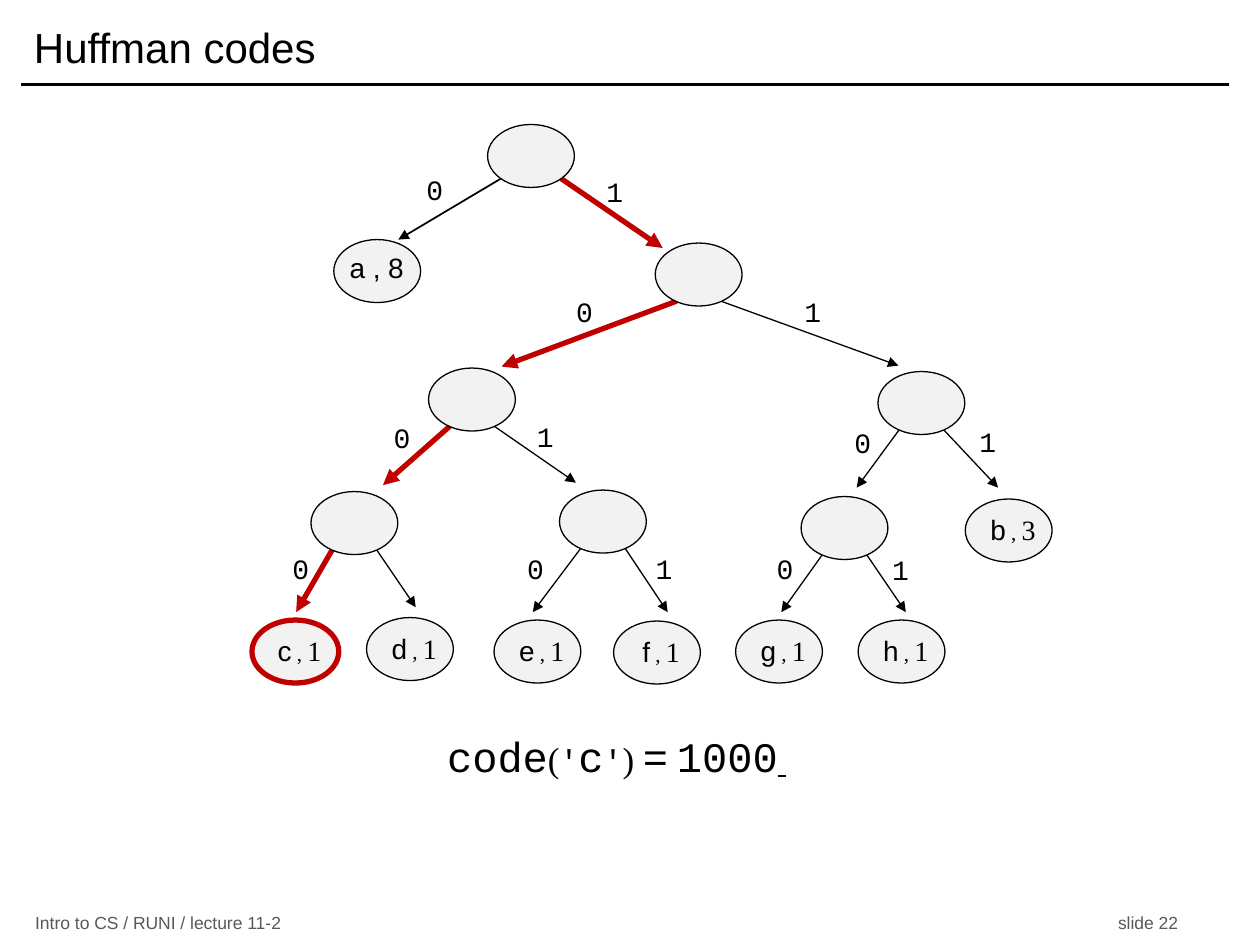
from pptx import Presentation
from pptx.dml.color import RGBColor
from pptx.enum.shapes import MSO_CONNECTOR, MSO_SHAPE
from pptx.enum.text import MSO_ANCHOR, MSO_AUTO_SIZE, PP_ALIGN
from pptx.oxml.ns import qn
from pptx.util import Cm, Pt
from lxml.etree import SubElement

COLORS = {"ink": "000000", "node": "F2F2F2", "path": "C00000", "footer": "595959"}
SANS, MONO, SERIF = "Arial", "Courier New", "Times New Roman"

TITLE = "Huffman codes"
FOOTER = "Intro to CS / RUNI / lecture 11-2\tslide 22"
TRACED_CODE = "1000"
ROOT = (9.83, 2.51)

# code: (node position, arrow tip, bit label position)
TREE = {
    "0": ((6.73, 4.83), (8.03, 4.83), (8.36, 3.35)),
    "1": ((13.21, 4.9), (13.36, 5), (11.99, 3.4)),
    "10": ((8.64, 7.42), (10.11, 7.39), (11.38, 5.82)),
    "11": ((17.7, 7.49), (18.11, 7.37), (15.98, 5.82)),
    "100": ((6.27, 9.91), (7.72, 9.78), (7.7, 8.36)),
    "101": ((11.28, 9.88), (11.61, 9.73), (10.59, 8.33)),
    "110": ((16.15, 10.01), (17.27, 9.83), (16.99, 8.46)),
    "111": ((19.46, 10.06), (20.12, 9.83), (19.51, 8.43)),
    "1000": ((5.08, 12.5), (5.97, 12.34), (5.66, 11)),
    "1001": ((7.39, 12.45), (8.38, 12.24), None),
    "1010": ((9.96, 12.5), (10.74, 12.34), (10.39, 11)),
    "1011": ((12.37, 12.52), (13.46, 12.34), (12.98, 11)),
    "1100": ((14.83, 12.5), (15.75, 12.34), (15.42, 11)),
    "1101": ((17.3, 12.5), (18.26, 12.34), (17.75, 11.02)),
}
LEAVES = {"111": ("b", "3"), "1000": ("c", "1"), "1001": ("d", "1"), "1010": ("e", "1"),
          "1011": ("f", "1"), "1100": ("g", "1"), "1101": ("h", "1")}
FORMULA = [("code", 24, MONO), ("(", 20, SERIF), ("'", 18, MONO), ("c", 24, MONO),
           ("'", 18, MONO), (") ", 20, SERIF), ("=", 24, MONO), (" ", 20, SERIF),
           (TRACED_CODE, 24, MONO), (" ", 20, SERIF)]

NODE_W, NODE_H = 1.75, 1.27
LABEL_H = 0.94


def rgb(name):
    return RGBColor.from_string(COLORS[name])


def style(font, size, face, color="ink"):
    font.size, font.name = Pt(size), face
    font.color.rgb = rgb(color)


def add_text(slide, left, top, width, height, runs, wrap=True, side_inset=0.25):
    box = slide.shapes.add_textbox(Cm(left), Cm(top), Cm(width), Cm(height))
    frame = box.text_frame
    frame.word_wrap = wrap
    frame.auto_size = MSO_AUTO_SIZE.SHAPE_TO_FIT_TEXT
    frame.margin_left = frame.margin_right = Cm(side_inset)
    paragraph = frame.paragraphs[0]
    paragraph.alignment = PP_ALIGN.CENTER
    for text, size, face in runs:
        run = paragraph.add_run()
        run.text = text
        style(run.font if len(runs) > 1 else paragraph.font, size, face)
    return paragraph


def add_line(slide, start, end, color="ink", weight=0.75, arrow=True):
    line = slide.shapes.add_connector(MSO_CONNECTOR.STRAIGHT, *map(Cm, start + end))
    line.line.color.rgb = rgb(color)
    line.line.width = Pt(weight)
    properties = line._element.spPr
    if arrow:
        SubElement(properties.find(qn("a:ln")), qn("a:tailEnd"), type="triangle")
    SubElement(properties, qn("a:effectLst"))


def add_edge(slide, code, tip):
    parent = code[:-1]
    left, top = TREE[parent][0] if parent else ROOT
    inset, drop = (0.43, 1.17) if parent else (0.27, 1.09)
    across = inset if code[-1] == "0" else NODE_W - inset
    traced = TRACED_CODE.startswith(code)
    weight = 3 if traced else 0.75 if parent else 1
    add_line(slide, (left + across, top + drop), tip, "path" if traced else "ink", weight)


def add_node(slide, left, top, traced=False):
    node = slide.shapes.add_shape(MSO_SHAPE.OVAL, Cm(left), Cm(top), Cm(NODE_W), Cm(NODE_H))
    node.shadow.inherit = False
    node.fill.solid()
    node.fill.fore_color.rgb = rgb("node")
    node.line.color.rgb = rgb("path" if traced else "ink")
    node.line.width = Pt(3 if traced else 0.75)


def add_title(slide):
    title = slide.shapes.title
    title.left, title.top, title.width, title.height = Cm(0.43), Cm(0.2), Cm(24.33), Cm(1.47)
    title.text_frame.text = TITLE
    title.text_frame.vertical_anchor = MSO_ANCHOR.MIDDLE
    paragraph = title.text_frame.paragraphs[0]
    paragraph.alignment = PP_ALIGN.LEFT
    style(paragraph.font, 24, SANS)
    add_line(slide, (0.43, 1.7), (24.77, 1.7), weight=2, arrow=False)


def add_footer(slide):
    box = slide.shapes.add_textbox(Cm(0.46), Cm(18.36), Cm(23.93), Cm(0.48))
    frame = box.text_frame
    frame.word_wrap = True
    frame.vertical_anchor = MSO_ANCHOR.MIDDLE
    paragraph = frame.paragraphs[0]
    paragraph.text = FOOTER
    tabs = SubElement(paragraph._p.get_or_add_pPr(), qn("a:tabLst"))
    SubElement(tabs, qn("a:tab"), pos=str(Cm(23.04)), algn="r")
    style(paragraph.font, 10, SANS, "footer")


def main():
    deck = Presentation()
    deck.slide_width, deck.slide_height = Cm(25.4), Cm(19.05)
    slide = deck.slides.add_slide(deck.slide_layouts[5])
    add_title(slide)
    add_footer(slide)

    for code, (_, tip, _) in TREE.items():
        add_edge(slide, code, tip)
    add_node(slide, *ROOT)
    for code, (position, _, bit_position) in TREE.items():
        add_node(slide, *position, traced=code == TRACED_CODE)
        if bit_position:
            add_text(slide, *bit_position, 0.81, LABEL_H, [(code[-1], 16, MONO)], side_inset=0)

    left, top = TREE["0"][0]
    add_text(slide, left + 0.05, top + 0.1, 1.63, LABEL_H, [("a , 8", 16, SANS)], wrap=False)
    for code, (letter, count) in LEAVES.items():
        left, top = TREE[code][0]
        runs = [(letter, 16, SANS), (" , ", 12, SERIF), (count, 16, SERIF)]
        add_text(slide, left + 0.25, top + 0.15, 1.42, LABEL_H, runs, wrap=False)

    formula = add_text(slide, 6.3, 14.6, 12.27, 1.3, FORMULA, side_inset=0)
    formula.runs[-1].font.underline = True
    deck.save("out.pptx")


if __name__ == "__main__":
    main()
